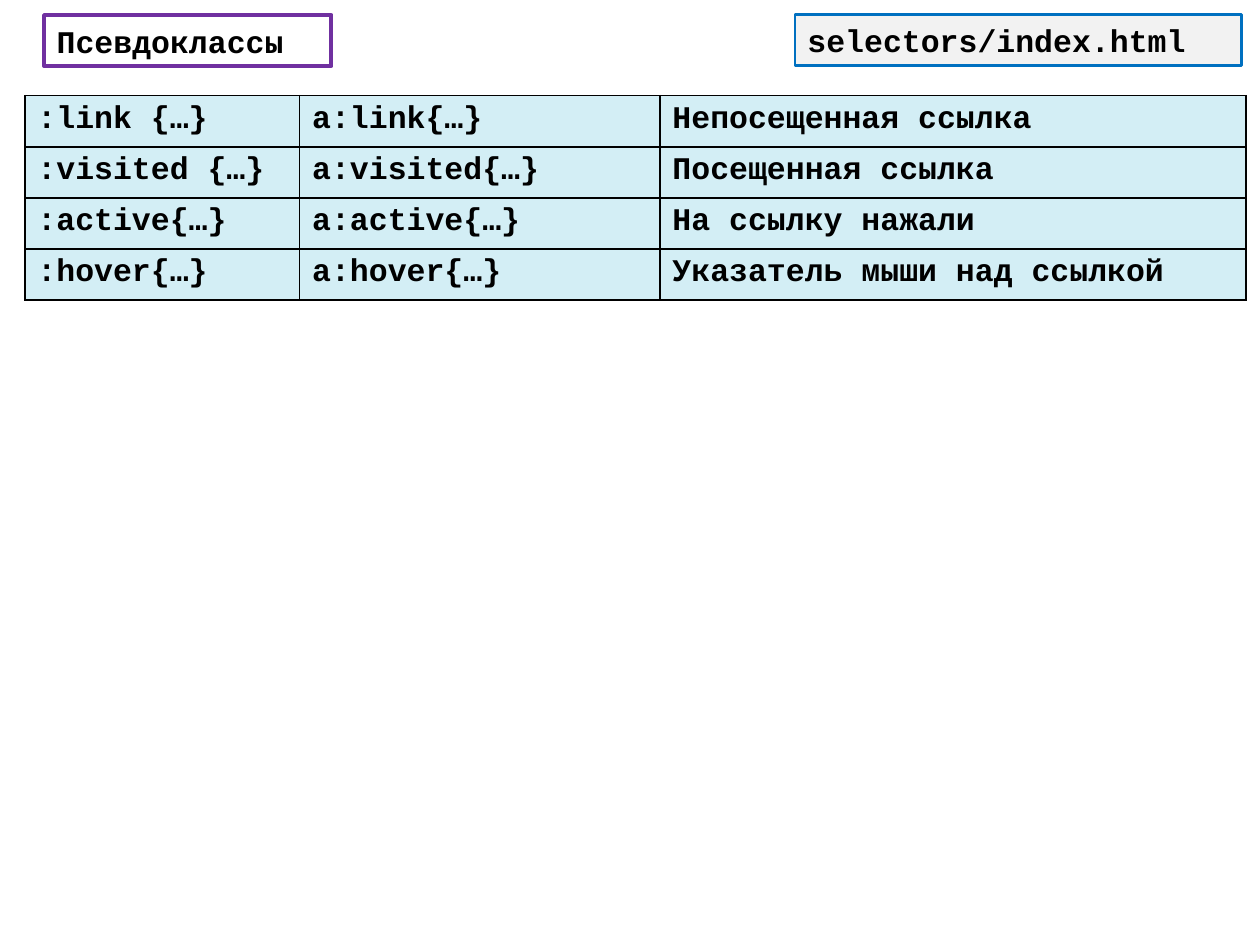
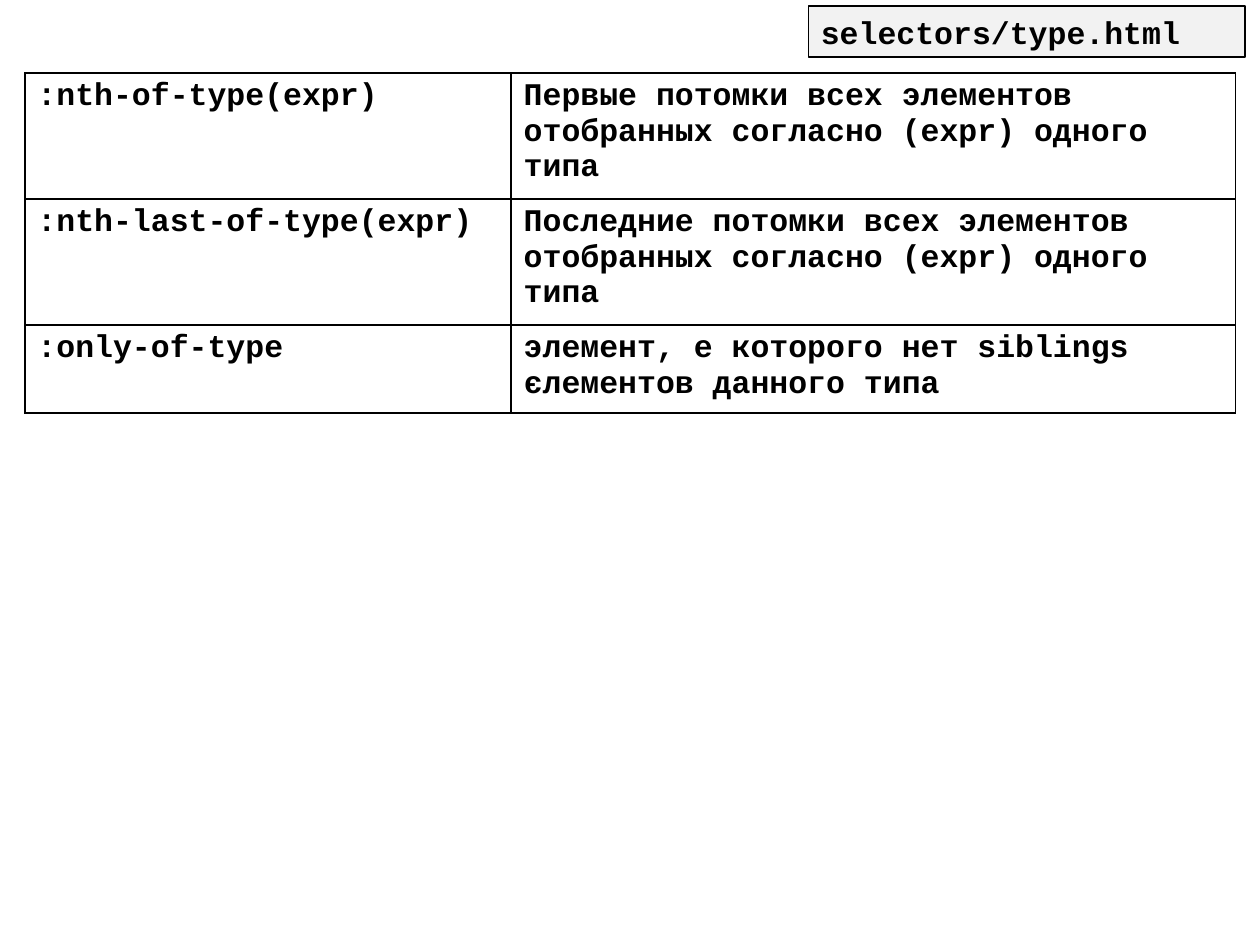
from dataclasses import dataclass
from typing import Optional

from lxml.etree import SubElement
from pptx import Presentation
from pptx.dml.color import RGBColor
from pptx.enum.shapes import MSO_SHAPE
from pptx.enum.text import MSO_ANCHOR, MSO_AUTO_SIZE, PP_ALIGN
from pptx.oxml.ns import qn
from pptx.util import Pt

COLORS = {
    "text": "000000",
    "border": "000000",
    "tag": "F2F2F2",
    "accent": "0070C0",
    "title": "7030A0",
    "cell": "D3EEF5",
}
FONT = "Courier New"
TEXT_SIZE = 18
BORDER_WIDTH = 1
BAND_HEIGHT = 29.2
TABLE_LEFT = 14.2
TITLE_ONLY, BLANK = 5, 6


@dataclass(frozen=True)
class Band:
    text: str
    left: float
    top: float
    width: float
    line: str
    line_width: float
    fill: Optional[str] = None


@dataclass(frozen=True)
class SelectorTable:
    top: float
    columns: tuple[float, ...]
    row_heights: tuple[float, ...]
    rows: tuple[tuple[str, ...], ...]
    fill: Optional[str] = None


@dataclass(frozen=True)
class Topic:
    file_tag: Band
    selectors: SelectorTable
    title: Optional[Band] = None


TOPICS = (
    Topic(
        title=Band("Псевдоклассы", 25.2, 8.6, 164.2, "title", 2.25),
        file_tag=Band("selectors/index.html", 454.3, 8.4, 255.2, "accent", 1.5, "tag"),
        selectors=SelectorTable(
            top=54.7,
            columns=(157, 205.9, 334.8),
            row_heights=(BAND_HEIGHT,) * 4,
            rows=(
                (":link {…}", "a:link{…}", "Непосещенная ссылка"),
                (":visited {…}", "a:visited{…}", "Посещенная ссылка"),
                (":active{…}", "a:active{…}", "На ссылку нажали"),
                (":hover{…}", "a:hover{…}", "Указатель мыши над ссылкой"),
            ),
            fill="cell",
        ),
    ),
    Topic(
        file_tag=Band("selectors/type.html", 462, 3.6, 249.4, "border", 1, "tag"),
        selectors=SelectorTable(
            top=41.7,
            columns=(277.9, 414),
            row_heights=(72, 72, 50.4),
            rows=(
                (":nth-of-type(expr)",
                 "Первые потомки всех элементов отобранных согласно (expr) одного типа"),
                (":nth-last-of-type(expr)",
                 "Последние потомки всех элементов отобранных согласно (expr) одного типа"),
                (":only-of-type",
                 "элемент, e которого нет siblings єлементов данного типа"),
            ),
        ),
    ),
)


def rgb(key: str) -> RGBColor:
    return RGBColor.from_string(COLORS[key])


def paint(fill, key: Optional[str]) -> None:
    if key is None:
        fill.background()
    else:
        fill.solid()
        fill.fore_color.rgb = rgb(key)


def write(frame, text: str) -> None:
    frame.text = text
    frame.word_wrap = True
    paragraph = frame.paragraphs[0]
    paragraph.alignment = PP_ALIGN.LEFT
    for run in paragraph.runs:
        run.font.name = FONT
        run.font.size = Pt(TEXT_SIZE)
        run.font.bold = True
        run.font.color.rgb = rgb("text")


def format_band(shape, band: Band) -> None:
    shape.left, shape.top = Pt(band.left), Pt(band.top)
    shape.width, shape.height = Pt(band.width), Pt(BAND_HEIGHT)
    paint(shape.fill, band.fill)
    shape.line.color.rgb = rgb(band.line)
    shape.line.width = Pt(band.line_width)
    write(shape.text_frame, band.text)
    shape.text_frame.vertical_anchor = MSO_ANCHOR.MIDDLE
    shape.text_frame.auto_size = MSO_AUTO_SIZE.NONE


def add_file_tag(slide, band: Band) -> None:
    tag = slide.shapes.add_shape(MSO_SHAPE.RECTANGLE, 0, 0, 0, 0)
    tag.shadow.inherit = False
    format_band(tag, band)


def add_borders(cell) -> None:
    properties = cell._tc.get_or_add_tcPr()
    for side in ("a:lnL", "a:lnR", "a:lnT", "a:lnB"):
        line = SubElement(properties, qn(side), w=str(Pt(BORDER_WIDTH)))
        solid = SubElement(line, qn("a:solidFill"))
        SubElement(solid, qn("a:srgbClr"), val=COLORS["border"])


def add_selectors(slide, selectors: SelectorTable) -> None:
    table = slide.shapes.add_table(
        len(selectors.rows), len(selectors.columns),
        Pt(TABLE_LEFT), Pt(selectors.top),
        Pt(sum(selectors.columns)), Pt(sum(selectors.row_heights)),
    ).table
    table.first_row = table.horz_banding = False
    for column, width in zip(table.columns, selectors.columns):
        column.width = Pt(width)
    for row, height, texts in zip(table.rows, selectors.row_heights, selectors.rows):
        row.height = Pt(height)
        for cell, text in zip(row.cells, texts):
            write(cell.text_frame, text)
            add_borders(cell)
            paint(cell.fill, selectors.fill)


def add_topic(deck, topic: Topic) -> None:
    layout = TITLE_ONLY if topic.title else BLANK
    slide = deck.slides.add_slide(deck.slide_layouts[layout])
    if topic.title:
        format_band(slide.shapes.title, topic.title)
    add_selectors(slide, topic.selectors)
    add_file_tag(slide, topic.file_tag)


def main() -> None:
    deck = Presentation()
    deck.slide_width, deck.slide_height = Pt(720), Pt(540)
    for topic in TOPICS:
        add_topic(deck, topic)
    deck.save("out.pptx")


if __name__ == "__main__":
    main()
